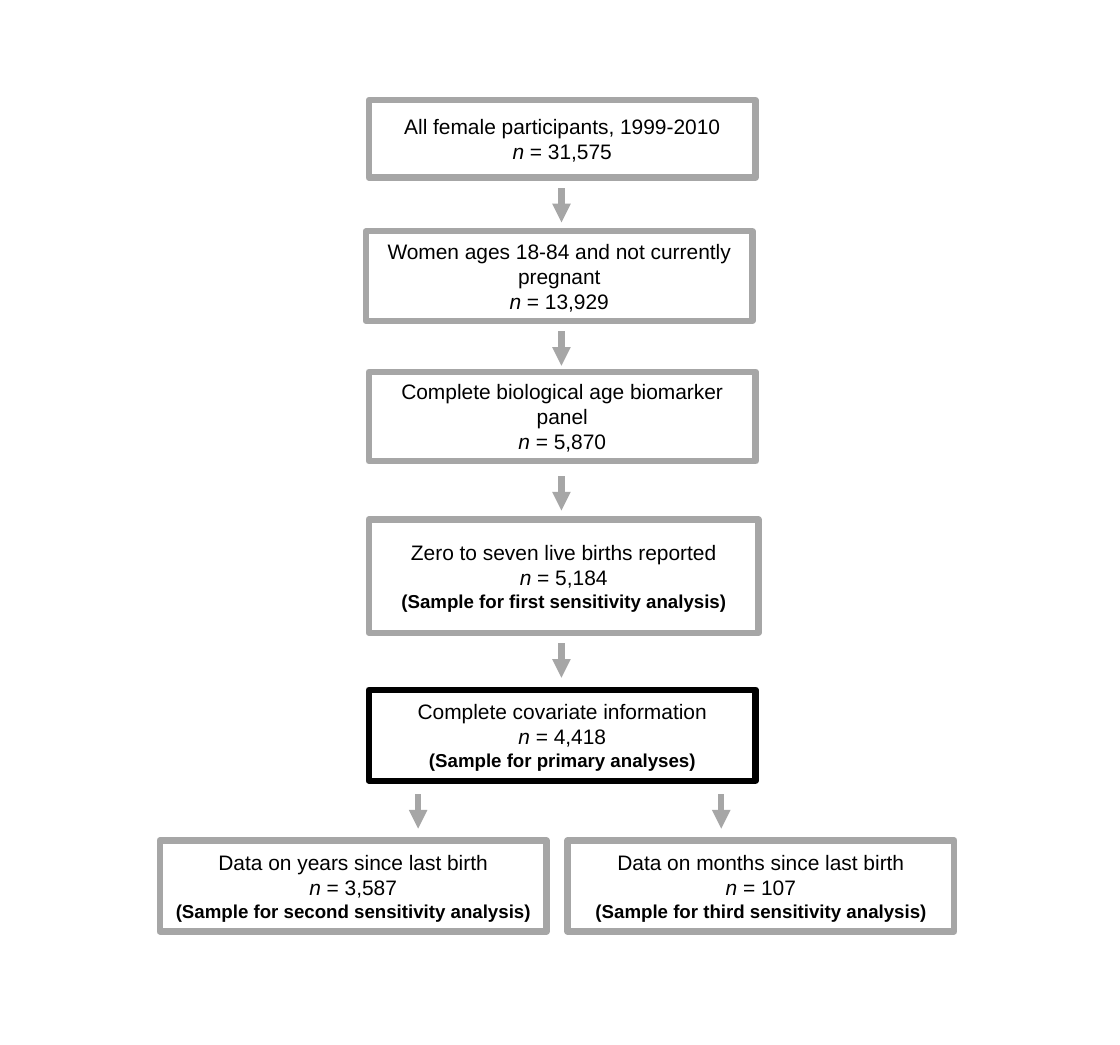
from dataclasses import dataclass

from pptx import Presentation
from pptx.dml.color import RGBColor
from pptx.enum.shapes import MSO_CONNECTOR as Connector, MSO_SHAPE as Shape
from pptx.enum.text import MSO_ANCHOR as Anchor, PP_ALIGN as Align
from pptx.oxml.ns import qn
from pptx.util import Inches, Pt
from lxml.etree import SubElement


@dataclass(frozen=True)
class Theme:
    """Colours, type sizes and line width of the flow chart."""
    font: str = "Arial"
    text: RGBColor = RGBColor(0x00, 0x00, 0x00)
    grey: RGBColor = RGBColor(0xA6, 0xA6, 0xA6)
    black: RGBColor = RGBColor(0x00, 0x00, 0x00)
    body_size: float = 10.1
    note_size: float = 9
    line_width: float = 3


THEME = Theme()
BOX_WIDTH = 2.59
ARROW_LENGTH = 0.23
CENTRE = 3.76

# left, top, width, height, criterion, count, note, line colour
BOXES = [
    (2.47, 0.67, BOX_WIDTH, 0.52, "All female participants, 1999-2010",
     "31,575", None, THEME.grey),
    (2.45, 1.55, BOX_WIDTH, 0.6, "Women ages 18-84 and not currently pregnant",
     "13,929", None, THEME.grey),
    (2.47, 2.49, BOX_WIDTH, 0.6, "Complete biological age biomarker panel",
     "5,870", None, THEME.grey),
    (2.47, 3.48, 2.61, 0.76, "Zero to seven live births reported",
     "5,184", "first sensitivity analysis", THEME.grey),
    (2.47, 4.62, BOX_WIDTH, 0.61, "Complete covariate information",
     "4,418", "primary analyses", THEME.black),
    (1.07, 5.63, BOX_WIDTH, 0.61, "Data on years since last birth",
     "3,587", "second sensitivity analysis", THEME.grey),
    (3.8, 5.63, BOX_WIDTH, 0.61, "Data on months since last birth",
     "107", "third sensitivity analysis", THEME.grey),
]

# x, top
ARROWS = [(CENTRE, top) for top in (1.26, 2.22, 3.19, 4.31)] + [
    (2.8, 5.32), (4.83, 5.32)]


def style_paragraph(paragraph, size, bold=False):
    """Centre a paragraph and set its font."""
    paragraph.alignment = Align.CENTER
    font = paragraph.font
    font.name, font.size, font.bold = THEME.font, Pt(size), bold
    font.color.rgb = THEME.text


def add_box(slide, left, top, width, height, criterion, count, note, colour):
    """Add an outlined box with a criterion, a sample size and a note."""
    box = slide.shapes.add_shape(
        Shape.RECTANGLE, *map(Inches, (left, top, width, height)))
    box.shadow.inherit = False
    box.fill.background()
    box.line.color.rgb = colour
    box.line.width = Pt(THEME.line_width)

    frame = box.text_frame
    frame.word_wrap = True
    frame.vertical_anchor = Anchor.MIDDLE
    frame.margin_left = frame.margin_right = Inches(0.09)

    criterion_line = frame.paragraphs[0]
    criterion_line.add_run().text = criterion
    style_paragraph(criterion_line, THEME.body_size)

    count_line = frame.add_paragraph()
    symbol = count_line.add_run()
    symbol.text = "n"
    symbol.font.italic = True
    count_line.add_run().text = f" = {count}"
    style_paragraph(count_line, THEME.body_size)

    if note:
        note_line = frame.add_paragraph()
        note_line.add_run().text = f"(Sample for {note})"
        style_paragraph(note_line, THEME.note_size, bold=True)


def add_down_arrow(slide, x, top):
    """Add a short arrow that points down from the given place."""
    arrow = slide.shapes.add_connector(
        Connector.STRAIGHT, Inches(x), Inches(top),
        Inches(x), Inches(top + ARROW_LENGTH))
    arrow.line.color.rgb = THEME.grey
    arrow.line.width = Pt(THEME.line_width)
    SubElement(arrow.line._get_or_add_ln(), qn("a:tailEnd"), type="triangle")
    SubElement(arrow._element.spPr, qn("a:effectLst"))


def main():
    """Build the sample selection flow chart."""
    presentation = Presentation()
    presentation.slide_width = Inches(7.5)
    presentation.slide_height = Inches(7)
    slide = presentation.slides.add_slide(presentation.slide_layouts[6])
    for box in BOXES:
        add_box(slide, *box)
    for arrow in ARROWS:
        add_down_arrow(slide, *arrow)
    presentation.save("out.pptx")


main()
